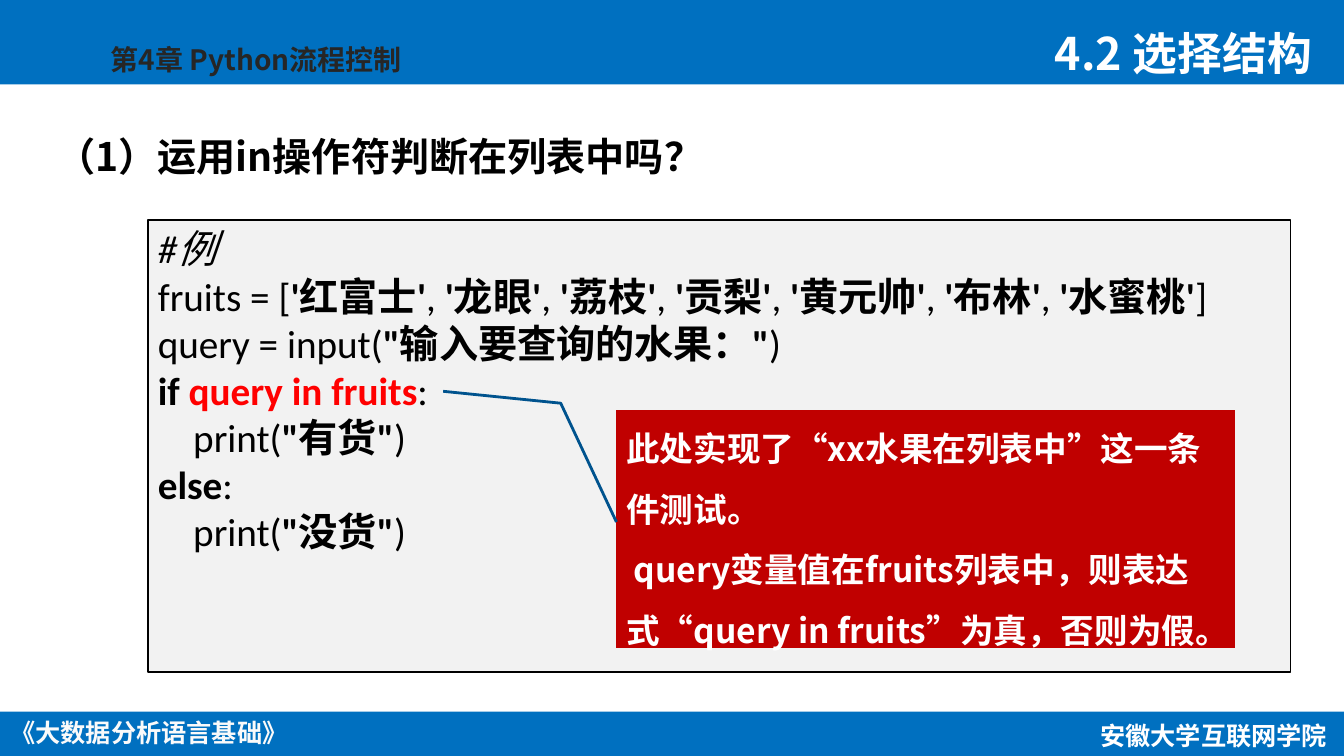
from dataclasses import dataclass

from pptx import Presentation
from pptx.dml.color import RGBColor
from pptx.enum import shapes, text
from pptx.oxml import ns, xmlchemy
from pptx.util import Cm, Pt

BLUE = RGBColor(0x00, 0x70, 0xC0)
NAVY = RGBColor(0x00, 0x53, 0x8E)
CRIMSON = RGBColor(0xC0, 0x00, 0x00)
RED = RGBColor(0xFF, 0x00, 0x00)
BLACK = RGBColor(0x00, 0x00, 0x00)
DARK = RGBColor(0x26, 0x26, 0x26)
GREY = RGBColor(0xF2, 0xF2, 0xF2)
PALE = RGBColor(0xFA, 0xFA, 0xFA)
WHITE = RGBColor(0xFF, 0xFF, 0xFF)
SANS, LATIN = "Noto Sans CJK SC", "Calibri"
LEFT, CENTER = text.PP_ALIGN.LEFT, text.PP_ALIGN.CENTER
TOP, MIDDLE = text.MSO_ANCHOR.TOP, text.MSO_ANCHOR.MIDDLE
WIDE, HIGH = 33.88, 19.05


@dataclass
class Run:
    words: str
    bold: bool = False
    italic: bool = False
    color: RGBColor | None = None


@dataclass
class Box:
    left: float
    top: float
    width: float
    height: float

    def place(self) -> tuple[Cm, Cm, Cm, Cm]:
        return Cm(self.left), Cm(self.top), Cm(self.width), Cm(self.height)


@dataclass
class Label:
    box: Box
    words: str
    size: float
    color: RGBColor
    align: text.PP_ALIGN = LEFT
    anchor: text.MSO_ANCHOR = TOP
    wrap: bool = True


def write(shape, lines: list[list[Run]], *, size: float, color: RGBColor,
          font: str = SANS, align=LEFT, anchor=TOP, wrap: bool = True,
          space: float | None = None) -> None:
    frame = shape.text_frame
    frame.auto_size = text.MSO_AUTO_SIZE.NONE
    frame.word_wrap = wrap
    frame.vertical_anchor = anchor
    for i, line in enumerate(lines):
        para = frame.paragraphs[0] if i == 0 else frame.add_paragraph()
        para.alignment = align
        if space:
            para.line_spacing = space
        for part in line:
            run = para.add_run()
            run.text = part.words
            face = run.font
            face.size, face.bold, face.italic = Pt(size), part.bold, part.italic
            face.color.rgb = part.color or color
            face.name = font
            east = xmlchemy.OxmlElement("a:ea")
            east.set("typeface", SANS)
            run.font._element.find(ns.qn("a:latin")).addnext(east)


def block(slide, kind, box: Box, fill: RGBColor, line: RGBColor | None = None,
          weight: float = 1):
    shape = slide.shapes.add_shape(kind, *box.place())
    shape.shadow.inherit = False
    shape.fill.solid()
    shape.fill.fore_color.rgb = fill
    if line is None:
        shape.line.fill.background()
    else:
        shape.line.color.rgb = line
        shape.line.width = Pt(weight)
    return shape


BANDS = [Box(0, 0, WIDE, 2.13), Box(0, 17.93, WIDE, 1.12)]
LABELS = [
    Label(Box(-0.03, 17.96, 7.57, 1.02), "《大数据分析语言基础》", 18, PALE,
          CENTER, wrap=False),
    Label(Box(2.54, 0.94, 9.6, 1.12), "第4章 Python流程控制", 20, DARK),
    Label(Box(27.46, 18.03, 6.27, 1.02), "安徽大学互联网学院", 18, WHITE,
          CENTER, wrap=False),
    Label(Box(1.17, 2.72, 22.2, 2.39), "（1）运用in操作符判断在列表中吗？", 28, BLACK,
          anchor=MIDDLE),
]
FRUITS = ["红富士", "龙眼", "荔枝", "贡梨", "黄元帅", "布林", "水蜜桃"]


def code() -> list[list[Run]]:
    fruits = [Run("fruits = [")]
    for i, name in enumerate(FRUITS):
        if i:
            fruits.append(Run(", "))
        fruits.append(Run(f"'{name}'", bold=True))
    fruits.append(Run("]"))
    return [
        [Run("#例", italic=True)],
        fruits,
        [Run("query = input("), Run('"输入要查询的水果："', True), Run(")")],
        [Run("if ", True), Run("query in fruits", True, color=RED), Run(":")],
        [Run("    print("), Run('"有货"', True), Run(")")],
        [Run("else", True), Run(":")],
        [Run("    print("), Run('"没货"', True), Run(")")],
    ]


NOTES = [
    "此处实现了“xx水果在列表中”这一条件测试。",
    "query变量值在fruits列表中，则表达式“query in fruits”为真，否则为假。",
]
TAIL = [0.47, 0, -0.03, -0.09, -0.08, -0.28]


def main() -> None:
    deck = Presentation()
    deck.slide_width, deck.slide_height = Cm(WIDE), Cm(HIGH)
    slide = deck.slides.add_slide(deck.slide_layouts[5])
    kinds = shapes.MSO_SHAPE

    for band in BANDS:
        block(slide, kinds.RECTANGLE, band, BLUE)
    for item in LABELS:
        label = slide.shapes.add_textbox(*item.box.place())
        write(label, [[Run(item.words, True)]], size=item.size, color=item.color,
              align=item.align, anchor=item.anchor, wrap=item.wrap)

    title = slide.shapes.title
    title.left, title.top, title.width, title.height = Box(26.34, 0.53, 7.54, 1.63).place()
    write(title, [[Run("4.2 选择结构", True)]], size=32, color=WHITE)
    title.element.getparent().append(title.element)

    panel = block(slide, kinds.RECTANGLE, Box(3.73, 5.54, 28.8, 11.4), GREY, BLACK)
    write(panel, code(), size=28, color=BLACK, font=LATIN)

    note = block(slide, kinds.LINE_CALLOUT_2_NO_BORDER, Box(15.54, 10.34, 15.6, 5.99),
                 CRIMSON, NAVY, 2)
    for i, value in enumerate(TAIL):
        note.adjustments[i] = value
    write(note, [[Run(words, True)] for words in NOTES], size=24, color=WHITE,
          anchor=MIDDLE, space=1.5)
    second = note.text_frame.paragraphs[1]
    second._p.get_or_add_pPr().set("indent", str(Cm(0.19)))

    deck.save("out.pptx")


if __name__ == "__main__":
    main()
